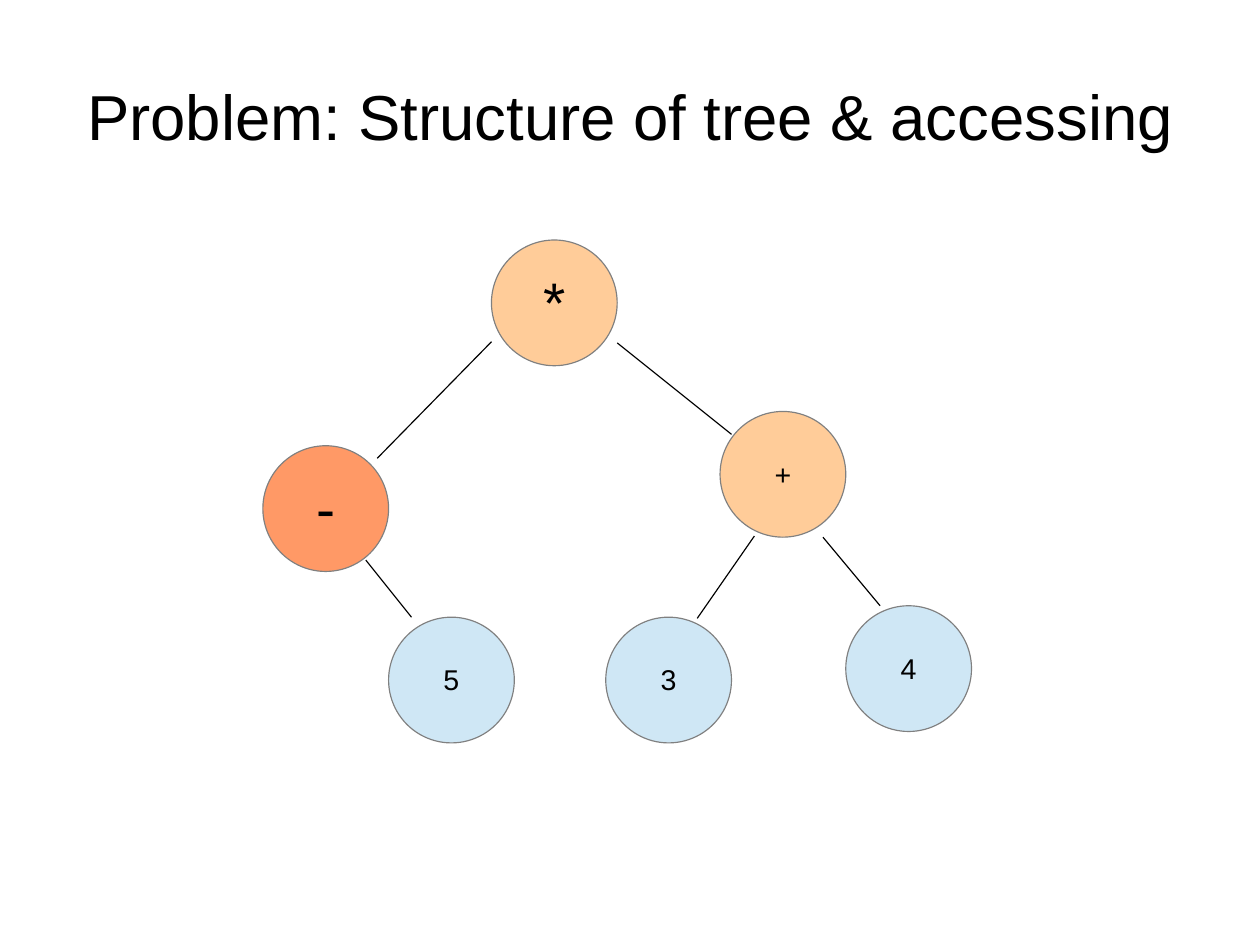
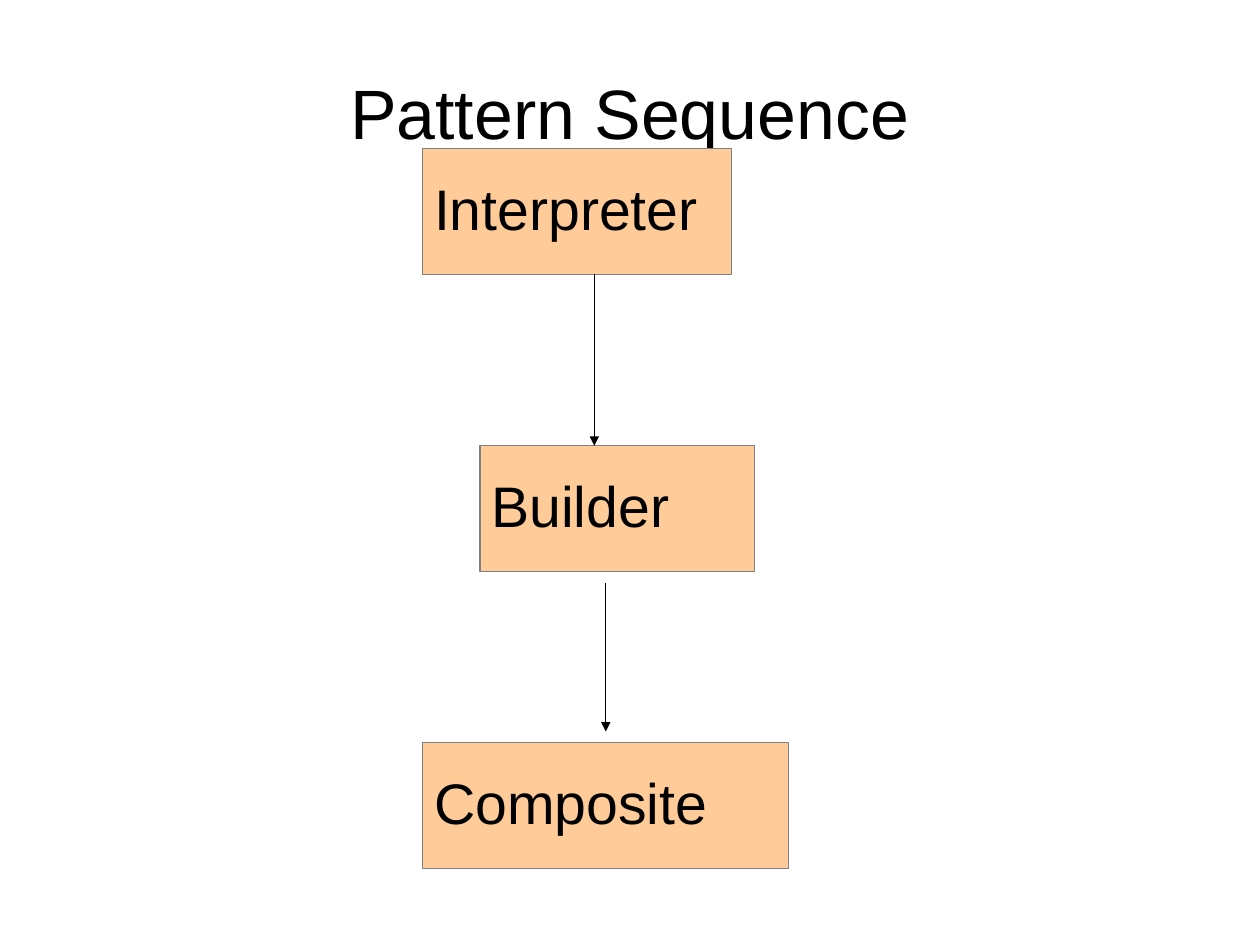
"""Build two slides: an expression tree and a sequence of design patterns."""
from lxml.etree import SubElement
from pptx import Presentation
from pptx.dml.color import RGBColor
from pptx.enum.shapes import MSO_CONNECTOR, MSO_SHAPE
from pptx.enum.text import MSO_ANCHOR, MSO_AUTO_SIZE, PP_ALIGN
from pptx.oxml.ns import qn
from pptx.util import Cm, Inches, Pt

BLACK = RGBColor(0x00, 0x00, 0x00)
GRAY = RGBColor(0x80, 0x80, 0x80)
PEACH = RGBColor(0xFF, 0xCC, 0x99)
ORANGE = RGBColor(0xFF, 0x99, 0x66)
PALE_BLUE = RGBColor(0xCF, 0xE7, 0xF5)
FONT = "Arial"
CELL = Inches(0.1)
NODE_SIDE = 11


def write(shape, text, size, align, margins, wrap=True):
    frame = shape.text_frame
    frame.auto_size = MSO_AUTO_SIZE.NONE
    frame.word_wrap = wrap
    frame.vertical_anchor = MSO_ANCHOR.MIDDLE
    frame.margin_left = frame.margin_right = Inches(margins[0])
    frame.margin_top = Inches(margins[1])
    frame.margin_bottom = Inches(margins[2])
    paragraph = frame.paragraphs[0]
    paragraph.alignment = align
    paragraph.line_spacing = 0.93
    run = paragraph.add_run()
    run.text = text
    run.font.name = FONT
    run.font.size = Pt(size)
    run.font.color.rgb = BLACK


def link(slide, start, end, line_width, arrow):
    ends = [round(CELL * place) for place in (*start, *end)]
    connector = slide.shapes.add_connector(MSO_CONNECTOR.STRAIGHT, *ends)
    connector.line.color.rgb = BLACK
    connector.line.width = line_width
    properties = connector._element.spPr
    if arrow:
        SubElement(properties.find(qn("a:ln")), qn("a:tailEnd"), type="triangle")
    SubElement(properties, qn("a:effectLst"))


prs = Presentation()
prs.slide_width = Cm(28)
prs.slide_height = Cm(21)
prs.element.find(qn("p:sldSz")).attrib.pop("type", None)
title_only = prs.slide_layouts[5]

tree_nodes = [
    ("*", 43, 21, NODE_SIDE, PEACH, 36, 0.08),
    ("-", 23, 39, NODE_SIDE, ORANGE, 36, 0.08),
    ("+", 63, 36, NODE_SIDE, PEACH, 18, 0.07),
    ("5", 34, 54, NODE_SIDE, PALE_BLUE, 18, 0.07),
    ("3", 53, 54, NODE_SIDE, PALE_BLUE, 18, 0.07),
    ("4", 74, 53, NODE_SIDE, PALE_BLUE, 18, 0.07),
]
tree_branches = [
    ((33, 40.1), (43, 29.9)),
    ((61, 54.1), (66, 46.9)),
    ((32, 49), (36, 54)),
    ((54, 30), (64, 38)),
    ((72, 47), (77, 53)),
]
pattern_nodes = [
    (name, column, 13 + 26 * step, width, PEACH, 36, 0.05)
    for step, (name, column, width) in enumerate(
        [("Interpreter", 37, 27), ("Builder", 42, 24), ("Composite", 37, 32)])
]
pattern_arrows = [((52, 24), (52, 39)), ((53, 51), (53, 64))]

pages = [
    ("Problem: Structure of tree & accessing", 40, 0.04, True, tree_nodes, tree_branches),
    ("Pattern Sequence", 44, 0, False, pattern_nodes, pattern_arrows),
]

for heading, heading_size, heading_top, is_tree, nodes, links in pages:
    slide = prs.slides.add_slide(title_only)
    title = slide.shapes.title
    title.left = round(prs.slide_width * 0.05)
    title.top = round(prs.slide_height * 0.04)
    title.width = round(prs.slide_width * 0.9)
    title.height = Inches(1.38)
    write(title, heading, heading_size, PP_ALIGN.CENTER, (0, heading_top, 0))

    outline = MSO_SHAPE.OVAL if is_tree else MSO_SHAPE.ROUNDED_RECTANGLE
    align = PP_ALIGN.CENTER if is_tree else PP_ALIGN.LEFT
    line_width = Pt(0.75) if is_tree else Pt(0.71)
    for label, column, row, width, fill, size, top_margin in nodes:
        node = slide.shapes.add_shape(
            outline, CELL * column, CELL * row, CELL * width, CELL * NODE_SIDE)
        if not is_tree:
            node.adjustments[0] = 0
        node.shadow.inherit = False
        node.fill.solid()
        node.fill.fore_color.rgb = fill
        node.line.color.rgb = GRAY
        node.line.width = line_width
        write(node, label, size, align, (0.1, top_margin, 0.05), wrap=not is_tree)

    for start, end in links:
        link(slide, start, end, line_width, arrow=not is_tree)

prs.save("out.pptx")
